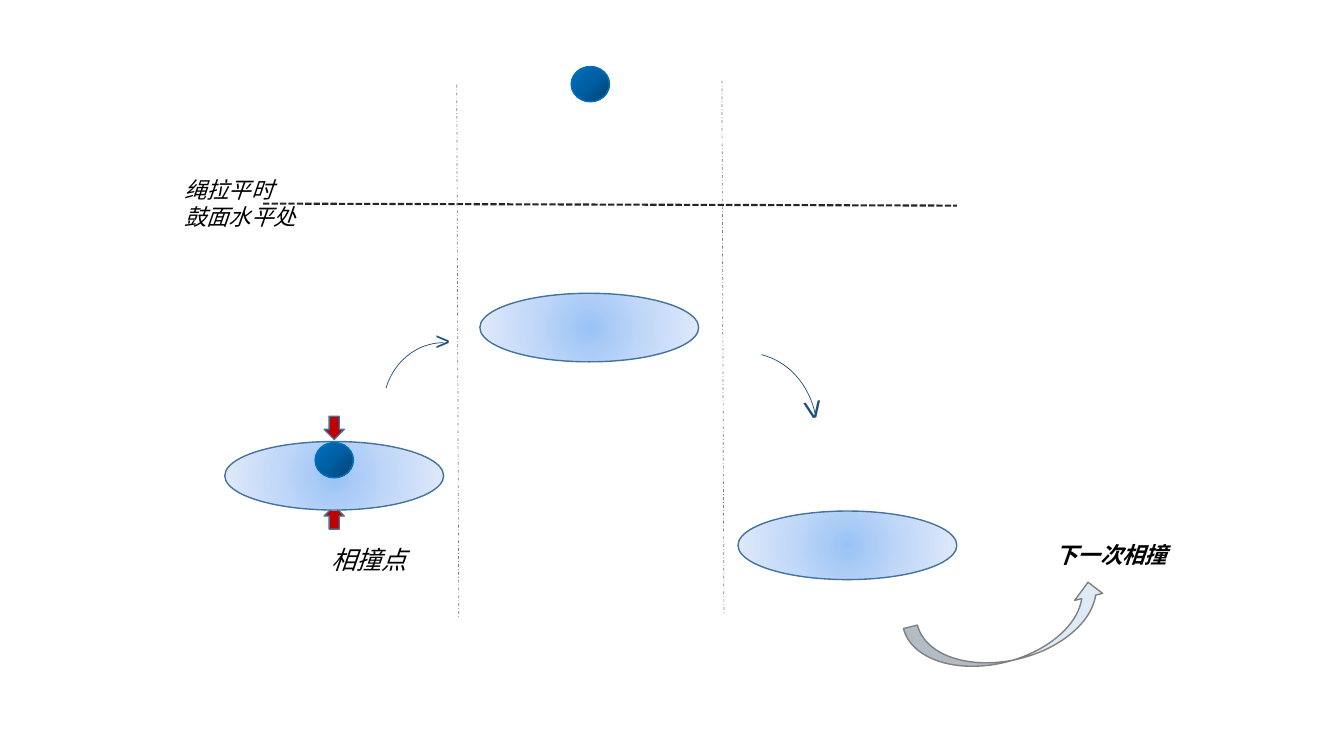
from lxml.etree import SubElement
from pptx import Presentation
from pptx.dml.color import RGBColor
from pptx.enum.dml import MSO_LINE
from pptx.enum.shapes import MSO_CONNECTOR, MSO_SHAPE
from pptx.oxml import parse_xml
from pptx.oxml.ns import nsdecls, qn
from pptx.util import Inches, Pt

BLACK = RGBColor(0x00, 0x00, 0x00)
CHARCOAL = RGBColor(0x26, 0x26, 0x26)
GREY = RGBColor(0x80, 0x80, 0x80)
RED = RGBColor(0xC0, 0x00, 0x00)
PALE_BLUE = RGBColor(0xDE, 0xEB, 0xF7)
NAVY = RGBColor(0x1F, 0x4E, 0x79)
OUTLINE_BLUE = RGBColor(0x43, 0x73, 0x9E)
BALL_BLUE = RGBColor(0x00, 0x70, 0xC0)
BALL_STOPS = (RGBColor(0x00, 0x42, 0x72), RGBColor(0x00, 0x5E, 0xA2), BALL_BLUE)
DRUM_STOPS = (RGBColor(0x9A, 0xC3, 0xF5), RGBColor(0xC2, 0xD8, 0xF8), RGBColor(0xE1, 0xEB, 0xFB))
BALL_FOCUS = {"l": 100, "t": 100, "r": 0, "b": 0}
DRUM_FOCUS = {"l": 50, "t": 50, "r": 50, "b": 50}

DRUM_WIDTH, DRUM_HEIGHT = 2.17, 0.68
BALL_WIDTH, BALL_HEIGHT = 0.38, 0.35
ARROW_WIDTH, ARROW_HEIGHT = 0.2, 0.23


def add_shape(slide, kind, box, line_color, line_width=1, fill=None, rotation=0, flip=None):
    shape = slide.shapes.add_shape(kind, *map(Inches, box))
    shape.shadow.inherit = False
    shape.rotation = rotation
    shape.line.color.rgb = line_color
    shape.line.width = Pt(line_width)
    if fill is None:
        shape.fill.background()
    else:
        shape.fill.solid()
        shape.fill.fore_color.rgb = fill
    if flip:
        shape._element.spPr.find(qn("a:xfrm")).set(flip, "1")
    return shape


def add_radial_oval(slide, box, line_color, stops, focus):
    oval = add_shape(slide, MSO_SHAPE.OVAL, box, line_color, fill=stops[-1])
    gradient = parse_xml(f'<a:gradFill rotWithShape="1" {nsdecls("a")}/>')
    stop_list = SubElement(gradient, qn("a:gsLst"))
    for index, color in enumerate(stops):
        stop = SubElement(stop_list, qn("a:gs"), pos=str(index * 50000))
        SubElement(stop, qn("a:srgbClr"), val=str(color))
    circle = SubElement(gradient, qn("a:path"), **{"path": "circle"})
    SubElement(circle, qn("a:fillToRect"), **{side: str(share * 1000) for side, share in focus.items()})
    properties = oval._element.spPr
    properties.replace(properties.find(qn("a:solidFill")), gradient)


def add_drum(slide, left, top):
    add_radial_oval(slide, (left, top, DRUM_WIDTH, DRUM_HEIGHT), OUTLINE_BLUE, DRUM_STOPS, DRUM_FOCUS)


def add_ball(slide, center, top):
    box = (center - BALL_WIDTH / 2, top, BALL_WIDTH, BALL_HEIGHT)
    add_radial_oval(slide, box, BALL_BLUE, BALL_STOPS, BALL_FOCUS)


def add_text(slide, box, lines, rotation=0, **format_values):
    text_box = slide.shapes.add_textbox(*map(Inches, box))
    text_box.rotation = rotation
    frame = text_box.text_frame
    frame.word_wrap = True
    for index, line in enumerate(lines):
        para = frame.add_paragraph() if index else frame.paragraphs[0]
        span = para.add_run()
        span.text = line
        values = {"name": "Calibri", "size": Pt(16), "italic": True} | format_values
        color = values.pop("color", BLACK)
        for name, value in values.items():
            setattr(span.font, name, value)
        span.font.color.rgb = color


def add_line(slide, start, end, color, width, dash):
    line = slide.shapes.add_connector(MSO_CONNECTOR.STRAIGHT, *map(Inches, start + end))
    line.line.color.rgb = color
    line.line.width = Pt(width)
    line.line.dash_style = dash
    SubElement(line._element.spPr, qn("a:effectLst"))


def add_collision(slide, left, top):
    center = left + DRUM_WIDTH / 2
    arrow_left = center - ARROW_WIDTH / 2
    for arrow_top, flip in ((top + 0.64, "flipV"), (top - 0.25, None)):
        box = (arrow_left, arrow_top, ARROW_WIDTH, ARROW_HEIGHT)
        add_shape(slide, MSO_SHAPE.DOWN_ARROW, box, OUTLINE_BLUE, fill=RED, flip=flip)
    add_drum(slide, left, top)
    add_ball(slide, center, top + 0.01)
    add_text(slide, (left + 0.96, top + 0.97, 1.29, 0.4), ["相撞点"], size=Pt(18))


def add_flight(slide, left, top):
    add_ball(slide, left + DRUM_WIDTH / 2 + 0.01, top - 2.25)
    add_drum(slide, left, top)


def add_next_collision(slide, left, top):
    add_drum(slide, left, top)
    arrow_box = (left + 2.41, top + 0.18, 0.57, 2.03)
    add_shape(slide, MSO_SHAPE.CURVED_RIGHT_ARROW, arrow_box, GREY, fill=PALE_BLUE, rotation=255.9)
    add_text(slide, (left + 3.05, top + 0.25, 1.76, 0.37), ["下一次相撞"], bold=True)


def add_guides(slide):
    add_line(slide, (2.61, 2.02), (9.49, 2.04), CHARCOAL, 1.5, MSO_LINE.SQUARE_DOT)
    for left, top in ((4.53, 0.84), (7.16, 0.8)):
        add_line(slide, (left, top), (left + 0.02, top + 5.3), GREY, 0.5, MSO_LINE.DASH_DOT)
    add_text(slide, (1.73, 1.7, 1.67, 0.64), ["绳拉平时", "鼓面水平处"])


def add_motion(slide, arc_box, arc_angle, sweep, head_box, head_angle, head_size):
    arc = add_shape(slide, MSO_SHAPE.ARC, arc_box, NAVY, 0.5, rotation=arc_angle, flip="flipH")
    for index, value in enumerate(sweep):
        arc.adjustments[index] = value
    add_text(slide, head_box, [">"], head_angle, name="Arial", size=Pt(head_size), italic=False, color=NAVY)


def main():
    deck = Presentation()
    deck.slide_width, deck.slide_height = Inches(13.33), Inches(7.5)
    slide = deck.slides.add_slide(deck.slide_layouts[6])
    add_collision(slide, 2.23, 4.38)
    add_flight(slide, 4.76, 2.91)
    add_next_collision(slide, 7.32, 5.07)
    add_guides(slide)
    add_motion(slide, (6.7, 3.59, 1.49, 1.31), 79.9, (163.59, 204.87), (7.79, 3.92, 0.62, 0.52), 79.6, 24)
    add_motion(slide, (3.8, 3.4, 1.2, 1.3), 0, (162, 204.5), (4.22, 3.18, 0.51, 0.4), 0, 18)
    deck.save("out.pptx")


if __name__ == "__main__":
    main()
